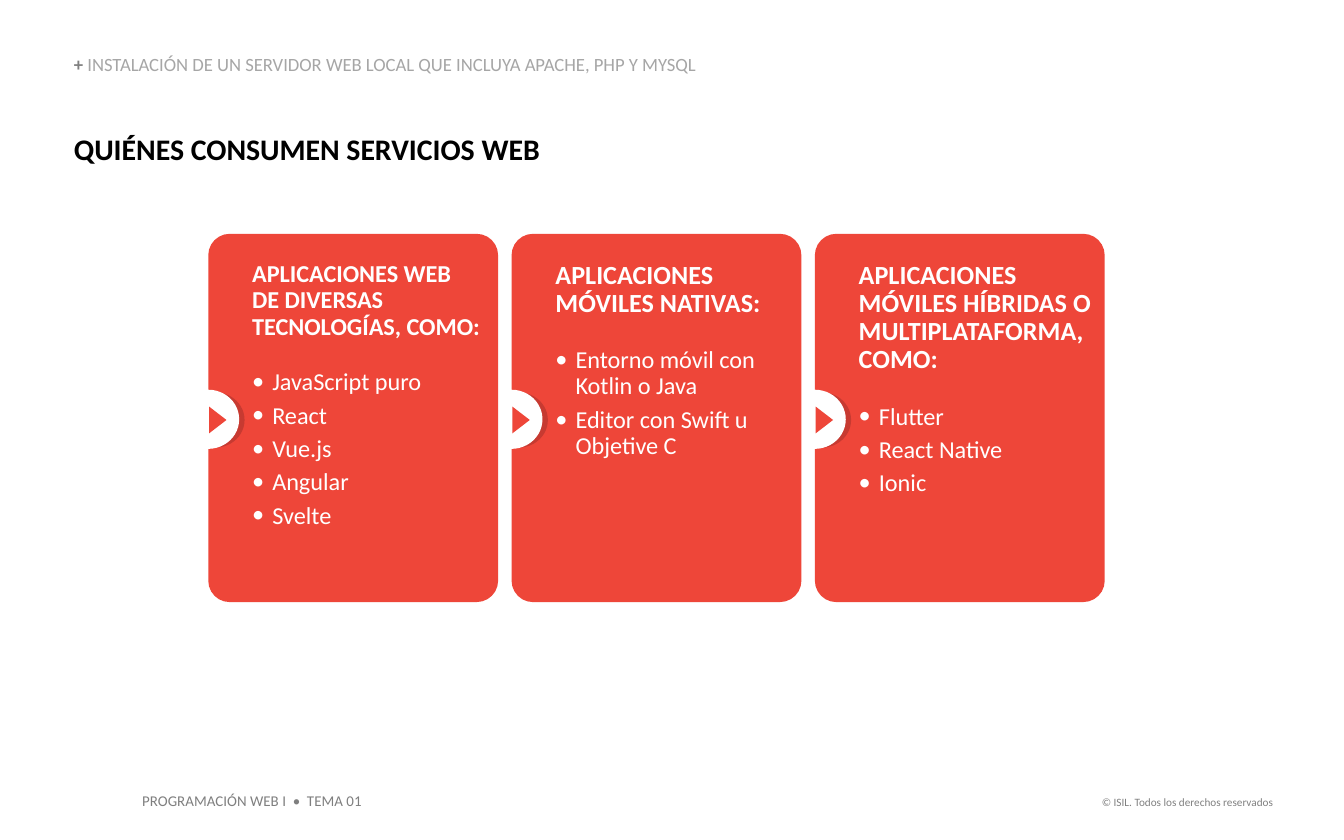
from lxml import etree
from pptx import Presentation
from pptx.dml.color import RGBColor
from pptx.enum.shapes import MSO_SHAPE
from pptx.enum.text import MSO_ANCHOR, MSO_AUTO_SIZE, PP_ALIGN
from pptx.oxml.ns import qn
from pptx.util import Inches, Pt

ROUNDED = MSO_SHAPE.ROUNDED_RECTANGLE
OVAL = MSO_SHAPE.OVAL
TRIANGLE = MSO_SHAPE.ISOSCELES_TRIANGLE
TOP, BOTTOM = MSO_ANCHOR.TOP, MSO_ANCHOR.BOTTOM
LEFT, RIGHT = PP_ALIGN.LEFT, PP_ALIGN.RIGHT
NO_FIT, GROW = MSO_AUTO_SIZE.NONE, MSO_AUTO_SIZE.SHAPE_TO_FIT_TEXT

FONT = "Calibri"
COLORS = {
    "card": "EE4639",
    "shade": "C73A31",
    "white": "FFFFFF",
    "title": "000000",
    "plus": "808080",
    "section": "A6A6A6",
    "topic": "7F7F7F",
    "rights": "808080",
}
CARDS = [
    ("APLICACIONES WEB\nDE DIVERSAS TECNOLOGÍAS, COMO:", 13,
     ["JavaScript puro", "React", "Vue.js", "Angular", "Svelte"]),
    ("APLICACIONES MÓVILES NATIVAS:", 14,
     ["Entorno móvil con Kotlin o Java", "Editor con Swift u Objetive C"]),
    ("APLICACIONES MÓVILES HÍBRIDAS O MULTIPLATAFORMA, COMO:", 14,
     ["Flutter", "React Native", "Ionic"]),
]


def style(font, size, color, bold=False):
    """Set the face, size, colour and weight of a font."""
    font.name = FONT
    font.size = Pt(size)
    font.bold = bold
    font.color.rgb = RGBColor.from_string(COLORS[color])


def set_frame(frame, insets, anchor=TOP):
    """Make a text frame wrap, with insets as left, top, right, bottom."""
    frame.word_wrap = True
    frame.auto_size = NO_FIT
    frame.vertical_anchor = anchor
    frame.margin_left, frame.margin_top, frame.margin_right, frame.margin_bottom = (
        Inches(inset) for inset in insets)


def add_flat(page, kind, box, color):
    """Add a plain filled shape without line or shadow."""
    shape = page.shapes.add_shape(kind, *(Inches(length) for length in box))
    shape.shadow.inherit = False
    shape.fill.solid()
    shape.fill.fore_color.rgb = RGBColor.from_string(COLORS[color])
    shape.line.fill.background()
    return shape


def add_bullet(para):
    """Give a paragraph a hanging white bullet."""
    props = para._p.get_or_add_pPr()
    props.set("marL", str(Inches(0.15)))
    props.set("indent", str(-Inches(0.15)))
    color = etree.SubElement(props, qn("a:buClr"))
    etree.SubElement(color, qn("a:srgbClr")).set("val", COLORS["white"])
    etree.SubElement(props, qn("a:buFont")).set("typeface", FONT)
    etree.SubElement(props, qn("a:buChar")).set("char", "•")


def add_marker(page, left, middle):
    """Draw the round arrow marker whose card starts at left."""
    add_flat(page, OVAL, (left - 0.16, middle - 0.21, 0.43, 0.41), "shade")
    add_flat(page, OVAL, (left - 0.23, middle - 0.23, 0.46, 0.44), "white")
    arrow = add_flat(page, TRIANGLE, (left - 0.03, middle - 0.07, 0.2, 0.13), "card")
    arrow.rotation = 90


def add_card(page, box, heading, size, items):
    """Draw one card with its heading, list and marker."""
    left, top, width, height = box
    card = add_flat(page, ROUNDED, box, "card")
    card.adjustments[0] = 0.074
    frame = card.text_frame
    set_frame(frame, (0.28, 0.16, 0, 0.05))
    para = frame.paragraphs[0]
    para.text = heading
    para.space_after = Pt(12)
    for item in items:
        para = frame.add_paragraph()
        para.text = item
        para.space_before = Pt(3.8)
    for index, para in enumerate(frame.paragraphs):
        para.alignment = LEFT
        para.line_spacing = 0.9
        if index:
            add_bullet(para)
        for span in para.runs:
            style(span.font, 13 if index else size, "white", bold=index == 0)
    add_marker(page, left, top + height / 2 + 0.02)


def add_cards(page, box, gap):
    """Spread the cards over the box, right to left so that each covers the next marker."""
    left, top, width, height = box
    card_width = (width - gap * (len(CARDS) - 1)) / len(CARDS)
    for index, card in reversed(list(enumerate(CARDS))):
        card_left = left + index * (card_width + gap)
        add_card(page, (card_left, top, card_width, height), *card)


def add_title(page, box):
    """Place the title of the slide."""
    title = page.shapes.title
    title.left, title.top, title.width, title.height = (Inches(length) for length in box)
    frame = title.text_frame
    set_frame(frame, (0, 0, 0, 0))
    frame.text = "QUIÉNES CONSUMEN SERVICIOS WEB"
    para = frame.paragraphs[0]
    para.alignment = LEFT
    para.line_spacing = 0.9
    style(para.runs[0].font, 16, "title", bold=True)


def add_section(page, box):
    """Place the section name above the title."""
    frame = page.shapes.add_textbox(*(Inches(length) for length in box)).text_frame
    set_frame(frame, (0, 0, 0, 0), BOTTOM)
    para = frame.paragraphs[0]
    para.line_spacing = 0.9
    for text, color, bold in (
            ("+ ", "plus", True),
            ("INSTALACIÓN DE UN SERVIDOR WEB LOCAL QUE INCLUYA APACHE, PHP Y MYSQL",
             "section", False)):
        span = para.add_run()
        span.text = text
        style(span.font, 10, color, bold)


def add_footer(page, box, text, size, color, alignment):
    """Place one footer line."""
    frame = page.shapes.add_textbox(*(Inches(length) for length in box)).text_frame
    frame.word_wrap = False
    frame.auto_size = GROW
    frame.text = text
    para = frame.paragraphs[0]
    para.alignment = alignment
    style(para.runs[0].font, size, color)


def main():
    """Build and save the slide."""
    deck = Presentation()
    deck.slide_width, deck.slide_height = Inches(10), Inches(6.25)
    page = deck.slides.add_slide(deck.slide_layouts[5])
    add_footer(page, (8.07, 5.87, 1.5, 0.2),
               "© ISIL. Todos los derechos reservados", 6, "rights", RIGHT)
    add_footer(page, (0.96, 5.84, 1.84, 0.24),
               "PROGRAMACIÓN WEB I  •  TEMA 01", 8, "topic", LEFT)
    add_title(page, (0.55, 1, 8.25, 0.28))
    add_section(page, (0.55, 0.41, 4.81, 0.15))
    add_cards(page, (1.55, 1.74, 6.67, 2.74), 0.1)
    deck.save("out.pptx")


if __name__ == "__main__":
    main()
